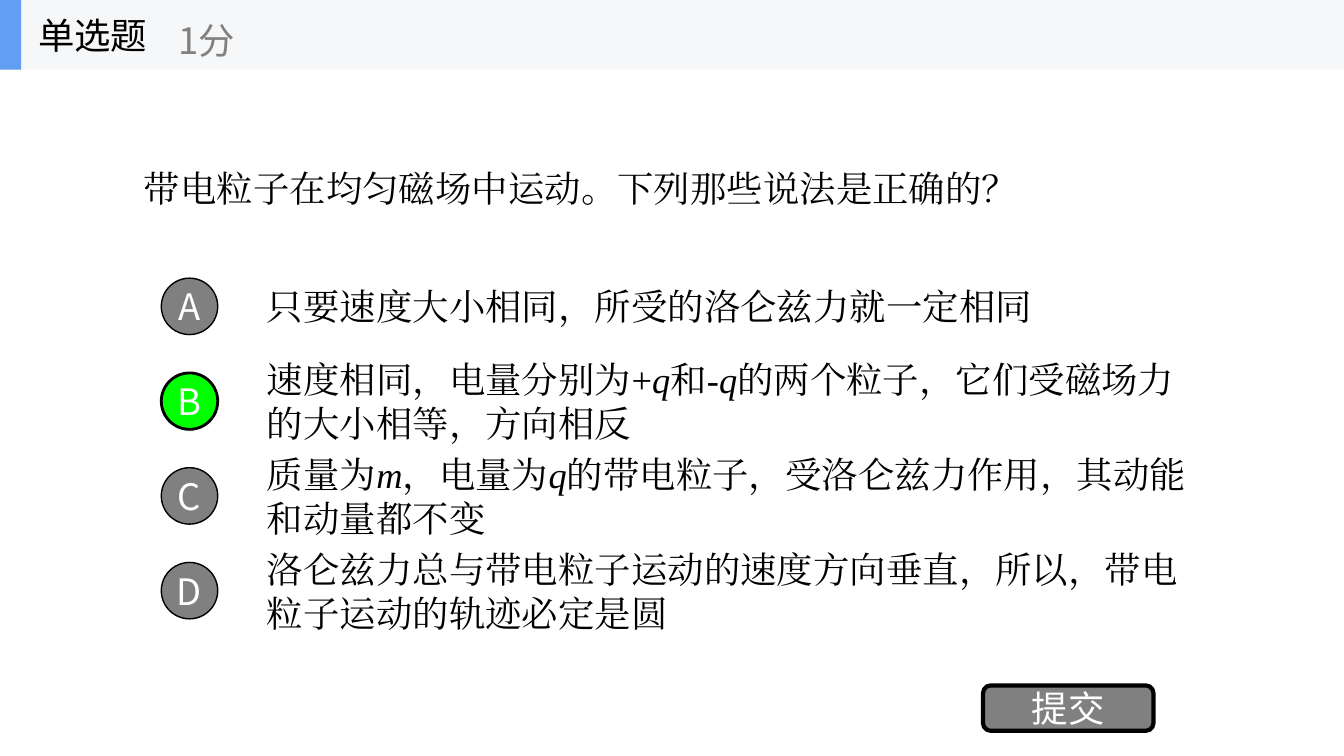
from lxml.etree import SubElement
from pptx import Presentation
from pptx.dml.color import RGBColor
from pptx.enum.shapes import MSO_SHAPE as SHAPE
from pptx.enum.text import MSO_ANCHOR as ANCHOR, PP_ALIGN as ALIGN
from pptx.oxml.ns import qn
from pptx.util import Inches, Pt

SANS, SERIF = "Noto Sans CJK SC", "Times New Roman"
BLACK, GRAY, WHITE, GREEN = "000000", "808080", "FFFFFF", "00FF00"
QUESTION = "带电粒子在均匀磁场中运动。下列那些说法是正确的？"
OPTIONS = [
    ("A", ["只要速度大小相同，所受的洛仑兹力就一定相同"]),
    ("B", ["速度相同，电量分别为+", "q", "和-", "q",
           "的两个粒子，它们受磁场力的大小相等，方向相反"]),
    ("C", ["质量为", "m", "，电量为", "q",
           "的带电粒子，受洛仑兹力作用，其动能和动量都不变"]),
    ("D", ["洛仑兹力总与带电粒子运动的速度方向垂直，所以，带电粒子运动的轨迹必定是圆"]),
]
ANSWER = "B"


def rgb(value):
    """Turn a hex string into a colour."""
    return RGBColor.from_string(value)


def write(sp, parts, font=SERIF, color=BLACK, align=ALIGN.LEFT, inset=0.1):
    """Write runs into a shape, with every second run in italics."""
    tf = sp.text_frame
    tf.word_wrap = True
    tf.vertical_anchor = ANCHOR.MIDDLE
    tf.margin_left = tf.margin_right = Inches(inset)
    p = tf.paragraphs[0]
    p.alignment = align
    for i, part in enumerate(parts):
        r = p.add_run()
        r.text = part
        r.font.size = Pt(26)
        r.font.name = font
        r.font.italic = i % 2 == 1
        r.font.color.rgb = rgb(color)
        SubElement(r.font._element, qn("a:ea")).set("typeface", font)


def add_text(shapes, box, parts, **fmt):
    """Add a text box."""
    write(shapes.add_textbox(*map(Inches, box)), parts, **fmt)


def add_block(shapes, kind, box, fill, line=0, label=None):
    """Add a filled shape with an optional outline and centred label."""
    sp = shapes.add_shape(kind, *map(Inches, box))
    sp.shadow.inherit = False
    sp.fill.solid()
    sp.fill.fore_color.rgb = rgb(fill)
    if line:
        sp.line.color.rgb = rgb(BLACK)
        sp.line.width = Pt(line)
    else:
        sp.line.fill.background()
    if label:
        write(sp, [label], font=SANS, color=WHITE, align=ALIGN.CENTER, inset=0)


def add_options(shapes, x, y, w, pitch):
    """Place the lettered answers in a column, marking the right one."""
    for i, (letter, parts) in enumerate(OPTIONS):
        top = y + i * pitch
        right = letter == ANSWER
        add_text(shapes, (x + 0.95, top, w - 0.95, 0.7), parts)
        add_block(shapes, SHAPE.OVAL, (x, top + 0.07, 0.56, 0.56),
                  GREEN if right else GRAY, 2 if right else 1, letter)


def add_header(shapes, x, y, w, h):
    """Place the grouped title bar with the question type and score."""
    bar = shapes.add_group_shape().shapes
    add_block(bar, SHAPE.RECTANGLE, (x, y, w, h), "F6F7F8")
    add_block(bar, SHAPE.RECTANGLE, (x, y, 0.21, h), "639EF4")
    add_text(bar, (x + 0.28, y, 2.08, h), ["单选题"], font=SANS)
    add_text(bar, (x + 1.67, y + 0.12, 2.5, 0.56), ["1分"], font=SANS, color=GRAY)


def main():
    """Build and save the quiz slide."""
    prs = Presentation()
    prs.slide_width, prs.slide_height = Inches(13.33), Inches(7.5)
    shapes = prs.slides.add_slide(prs.slide_layouts[6]).shapes
    add_text(shapes, (1.33, 0.69, 10.67, 2.34), [QUESTION])
    add_options(shapes, 1.6, 2.69, 10.28, 0.94)
    add_block(shapes, SHAPE.ROUNDED_RECTANGLE, (9.75, 6.8, 1.69, 0.45), GRAY, 3, "提交")
    add_header(shapes, 0, 0, 13.33, 0.69)
    prs.save("out.pptx")


if __name__ == "__main__":
    main()
